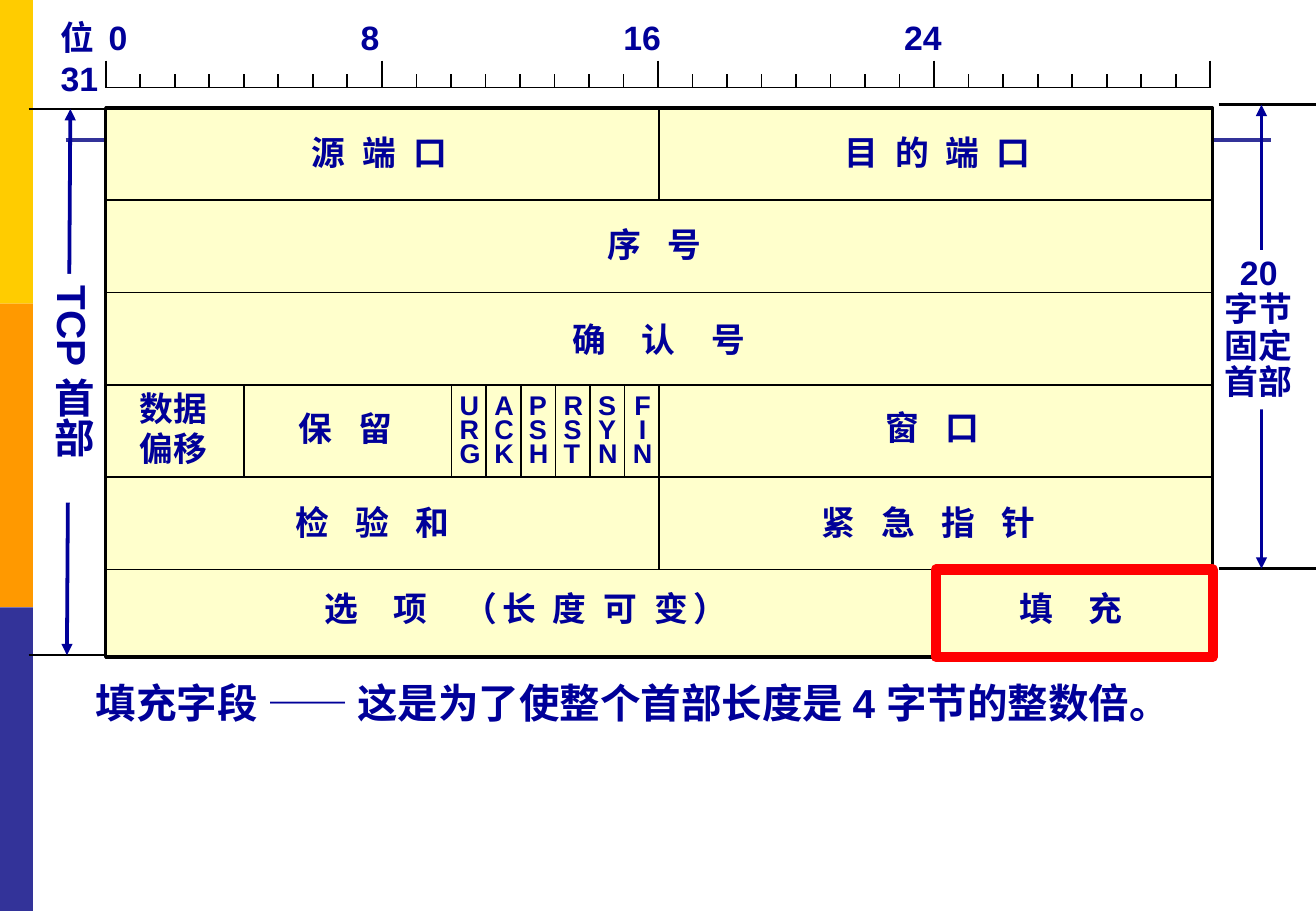
from lxml.etree import SubElement
from pptx import Presentation
from pptx.dml.color import RGBColor
from pptx.enum.shapes import MSO_CONNECTOR, MSO_SHAPE
from pptx.enum.text import MSO_ANCHOR, PP_ALIGN
from pptx.oxml.ns import qn
from pptx.util import Cm, Pt

COLORS = {"ink": "000099", "black": "000000", "cream": "FFFFCC", "white": "FFFFFF",
          "gold": "FFCC00", "orange": "FF9900", "indigo": "333399", "red": "FF0000"}
FONT = {"name": "Arial", "bold": True}
WIDE, HIGH = 27.51, 19.05
BITS, ROWS, PITCH = 32, 5, 1.93
SPACE = 5.56  # width of one space at 20 pt

# Text, left, top, width, and the gap between characters in spaces
CELLS = [
    (["源 端 口"], 4.06, 0.38, 4.2, 2),
    (["目 的 端 口"], 15.19, 0.38, 5, 2),
    (["序 号"], 10.24, 2.29, 4.17, 3),
    (["确 认 号"], 9.5, 4.29, 5.54, 4),
    (["数据", "偏移"], 0.46, 5.72, 2.2, 1),
    (["保 留"], 3.78, 6.15, 3.2, 3),
    (["窗 口"], 16.05, 6.12, 3.2, 3),
    (["检 验 和"], 3.71, 8.1, 4.6, 3),
    (["紧 急 指 针"], 14.71, 8.1, 6, 3),
    (["填 充"], 18.85, 9.91, 3.78, 4),
]
FLAGS = ["URG", "ACK", "PSH", "RST", "SYN", "FIN"]


def paint(color):
    return RGBColor.from_string(COLORS[color])


def block(slide, box, fill=None, edge=None, width=1):
    shape = slide.shapes.add_shape(MSO_SHAPE.RECTANGLE, *map(Cm, box))
    shape.shadow.inherit = False
    if fill:
        shape.fill.solid()
        shape.fill.fore_color.rgb = paint(fill)
    else:
        shape.fill.background()
    if edge:
        shape.line.color.rgb = paint(edge)
        shape.line.width = Pt(width)
    else:
        shape.line.fill.background()
    return shape


def rule(slide, ends, color="black", width=1, arrows=False):
    line = slide.shapes.add_connector(MSO_CONNECTOR.STRAIGHT, *map(Cm, ends))
    line.line.color.rgb = paint(color)
    line.line.width = Pt(width)
    props = line._element.spPr
    if arrows:
        for end in ("a:headEnd", "a:tailEnd"):
            SubElement(props.find(qn("a:ln")), qn(end), type="triangle")
    SubElement(props, qn("a:effectLst"))


def write(par, text, size=20, gap=1):
    run = par.add_run()
    run.text = text
    for key, value in {**FONT, "size": Pt(size)}.items():
        setattr(run.font, key, value)
    run.font.color.rgb = paint("ink")
    if gap > 1:  # each gap is shared by a character and a space
        run._r.get_or_add_rPr().set("spc", str(round((gap - 1) * SPACE * 50)))


def fill_text(shape, lines, size=20, gap=1, wrap=True, align=PP_ALIGN.LEFT, lead=1.0):
    frame = shape.text_frame
    frame.word_wrap = wrap
    frame.vertical_anchor = MSO_ANCHOR.TOP
    for i, text in enumerate(lines):
        par = frame.add_paragraph() if i else frame.paragraphs[0]
        par.alignment = align
        par.line_spacing = lead
        write(par, text, size, gap)
    return frame


def label(slide, box, lines, **style):
    return fill_text(slide.shapes.add_textbox(*map(Cm, box)), lines, **style)


def side_bar(slide, box):
    x, y, w, h = box
    for i, color in enumerate(("gold", "orange", "indigo")):
        block(slide, (x, y + i * h / 3, w, h / 3), color)


def caption(slide, box):
    title = slide.shapes.title
    title.left, title.top, title.width, title.height = map(Cm, box)
    text = "填充字段 —— 这是为了使整个首部长度是 4 字节的整数倍。"
    fill_text(title, [text], size=24).vertical_anchor = MSO_ANCHOR.BOTTOM


def ruler(slide, box):
    x, y, w, h = box
    base = y + h
    rule(slide, (x, base, x + w, base))
    for bit in range(BITS + 1):
        left = x + bit * w / BITS
        rule(slide, (left, base - (h if bit % 8 == 0 else h / 2), left, base))
    frame = label(slide, (x - 1.19, y - 1.04, 24.77, 1.9),
                  ["位\t0\t8\t16\t24", "31"])
    tabs = SubElement(frame.paragraphs[0]._p.get_or_add_pPr(), qn("a:tabLst"))
    for stop in (1, 6.27, 11.76, 17.63):
        SubElement(tabs, qn("a:tab"), pos=str(Cm(stop)), algn="l")


def span(slide, box, axis, note):
    """Two end lines, an arrow between them and a white label on it."""
    x, y, w, h = box
    for level in (y, y + h):
        rule(slide, (x, level, x + w, level), width=1.5)
    top, foot = axis
    rule(slide, (x + top, y, x + foot, y + h), "ink", 2.25, arrows=True)
    left, drop, wide, high = note
    return block(slide, (x + left, y + drop, wide, high), "white")


def left_span(slide, box):
    note = span(slide, box, (0.87, 0.8), (0.16, 3.45, 1.42, 4.78))
    frame = fill_text(note, ["TCP 首部"], size=24, lead=0.9)
    frame.vertical_anchor = MSO_ANCHOR.MIDDLE
    frame._txBody.bodyPr.set("vert", "eaVert")


def right_span(slide, box):
    note = span(slide, box, (0.89, 0.89), (-0.13, 3.04, 1.93, 3.33))
    fill_text(note, ["20", "字节", "固定", "首部"], wrap=False,
              align=PP_ALIGN.CENTER, lead=0.9)


def header(slide, box):
    x, y, w, h = box
    unit = w / BITS
    block(slide, box, "cream", "black", 2)
    # Row lines, then column lines as (bit, first row, last row)
    for row in range(1, ROWS + 1):
        rule(slide, (x, y + row * PITCH, x + w, y + row * PITCH))
    for bit, first, last in [(16, 0, 1), (16, 3, 5), (4, 3, 4),
                             *((b, 3, 4) for b in range(10, 16))]:
        left = x + bit * unit
        rule(slide, (left, y + first * PITCH, left, y + last * PITCH))
    # Field names
    for lines, left, top, wide, gap in CELLS:
        label(slide, (x + left, y + top, wide, 1.09), lines, gap=gap)
    frame = label(slide, (x + 4.32, y + 9.91, 9.63, 1.09), ["选 项 "], gap=4)
    write(frame.paragraphs[0], "（长 度 可 变）", gap=2)
    # Flags, one letter a line
    for i, flag in enumerate(FLAGS):
        align = PP_ALIGN.CENTER if flag == "FIN" else PP_ALIGN.LEFT
        label(slide, (x + (10 + i) * unit - 0.08, y + 3 * PITCH + 0.1, 0.91, 1.78),
              flag, size=16, wrap=False, align=align, lead=0.75)
    # Padding field in focus
    left, top = 24 * unit, ROWS * PITCH
    block(slide, (x + left, y + top, w - left, h - top), None, "red", 6)


def main():
    deck = Presentation()
    deck.slide_width, deck.slide_height = Cm(WIDE), Cm(HIGH)
    slide = deck.slides.add_slide(deck.slide_layouts[5])
    side_bar(slide, (0, 0, 0.69, HIGH))
    rule(slide, (1.37, 2.92, 26.57, 2.92), "indigo", 2.25)
    caption(slide, (1.75, 14.05, 24.56, 1.27))
    left_span(slide, (0.6, 2.28, 1.61, 11.42))
    right_span(slide, (25.48, 2.19, 2.03, 9.7))
    header(slide, (2.21, 2.26, 23.14, 11.48))
    ruler(slide, (2.21, 1.27, 23.09, 0.56))
    deck.save("out.pptx")


if __name__ == "__main__":
    main()
